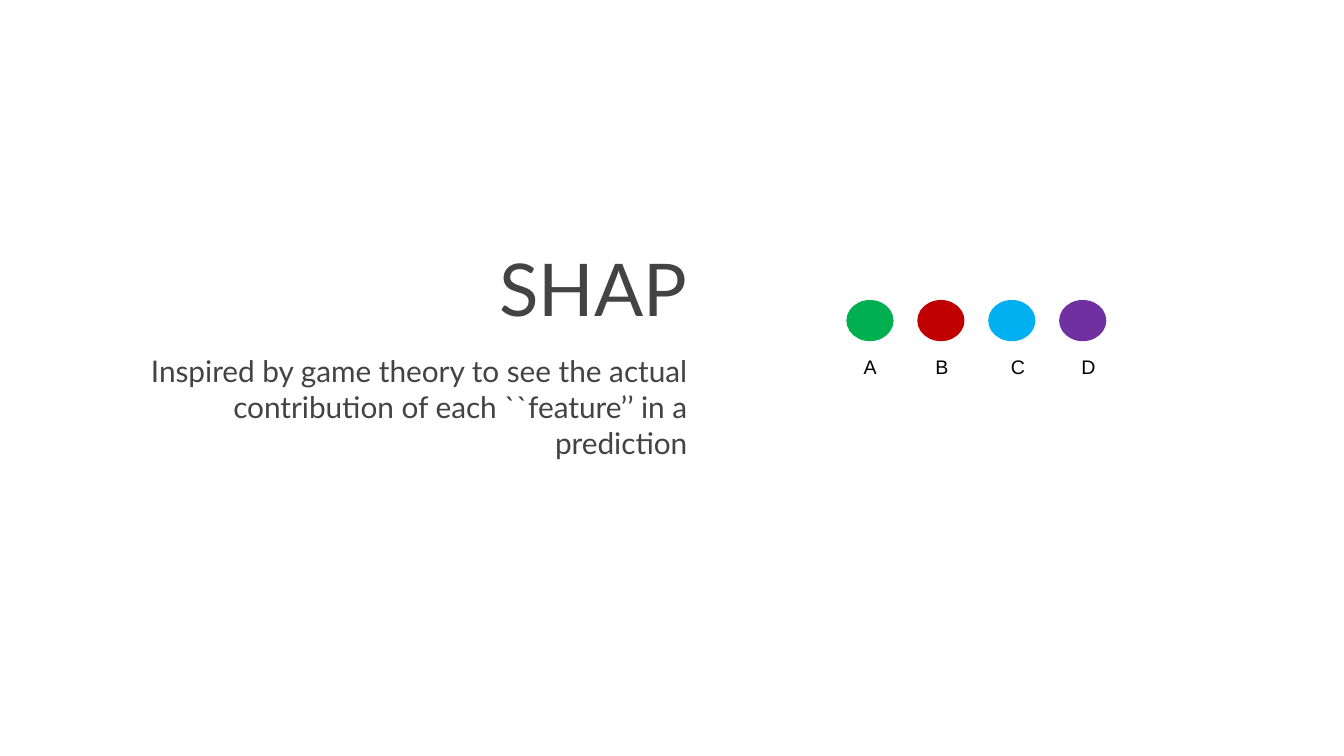
from pptx import Presentation
from pptx.dml.color import RGBColor
from pptx.enum import shapes, text
from pptx.oxml import xmlchemy
from pptx.util import Pt

GREY = "434343"
DOT_LEFT, DOT_TOP, DOT_STEP = 605.6, 215.3, 50.65
# letter, dot colour, label left, label width
PLAYERS = [
    ("A", "00B050", 609.8, 23.8),
    ("B", "C00000", 661, 15.8),
    ("C", "00B0F0", 715, 15.8),
    ("D", "7030A0", 765.4, 15.8),
]


def rgb(value):
    return RGBColor.from_string(value)


def write(paragraph, words, name, size, colour):
    run = paragraph.add_run()
    run.text = words
    run.font.color.rgb = rgb(colour)
    for key, value in {"name": name, "size": Pt(size), "bold": False}.items():
        setattr(run.font, key, value)


def fill_placeholder(holder, words, size, top, height, anchor):
    """Move a placeholder into the right-aligned column and write its text."""
    place = {"left": 90, "top": top, "width": 410.4, "height": height}
    for key, value in place.items():
        setattr(holder, key, Pt(value))
    frame = holder.text_frame
    for side in ("left", "top", "right", "bottom"):
        setattr(frame, f"margin_{side}", Pt(9.4))
    layout = {"word_wrap": True, "vertical_anchor": anchor,
              "auto_size": text.MSO_AUTO_SIZE.NONE}
    for key, value in layout.items():
        setattr(frame, key, value)
    paragraph = frame.paragraphs[0]
    spacing = {"alignment": text.PP_ALIGN.RIGHT, "line_spacing": 1.0,
               "space_before": Pt(0), "space_after": Pt(0)}
    for key, value in spacing.items():
        setattr(paragraph, key, value)
    properties = paragraph._p.get_or_add_pPr()
    properties.set("marL", "0")
    properties.set("indent", "0")
    properties.append(xmlchemy.OxmlElement("a:buNone"))
    write(paragraph, words, "Lato", size, GREY)


def add_dot(slide, left, colour):
    dot = slide.shapes.add_shape(shapes.MSO_SHAPE.OVAL, Pt(left), Pt(DOT_TOP),
                                 Pt(31.7), Pt(27.4))
    dot.shadow.inherit = False
    dot.fill.solid()
    dot.fill.fore_color.rgb = rgb(colour)
    dot.line.color.rgb = rgb(colour)
    dot.line.width = Pt(2)


def add_label(slide, letter, left, width):
    label = slide.shapes.add_textbox(Pt(left), Pt(249.8), Pt(width), Pt(24.2))
    frame = label.text_frame
    frame.word_wrap = True
    frame.auto_size = text.MSO_AUTO_SIZE.SHAPE_TO_FIT_TEXT
    write(frame.paragraphs[0], letter, "Arial", 14, "000000")


def main():
    deck = Presentation()
    deck.slide_width, deck.slide_height = Pt(960), Pt(540)
    slide = deck.slides.add_slide(deck.slide_layouts[1])

    fill_placeholder(slide.shapes.title, "SHAP", 52, 167, 79.2,
                     text.MSO_ANCHOR.BOTTOM)
    fill_placeholder(slide.placeholders[1],
                     "Inspired by game theory to see the actual contribution "
                     "of each ``feature’’ in a prediction",
                     21.3, 242.6, 129.6, text.MSO_ANCHOR.TOP)

    for index, (_, colour, _, _) in enumerate(PLAYERS):
        add_dot(slide, DOT_LEFT + index * DOT_STEP, colour)
    for letter, _, left, width in PLAYERS:
        add_label(slide, letter, left, width)

    deck.save("out.pptx")


if __name__ == "__main__":
    main()
